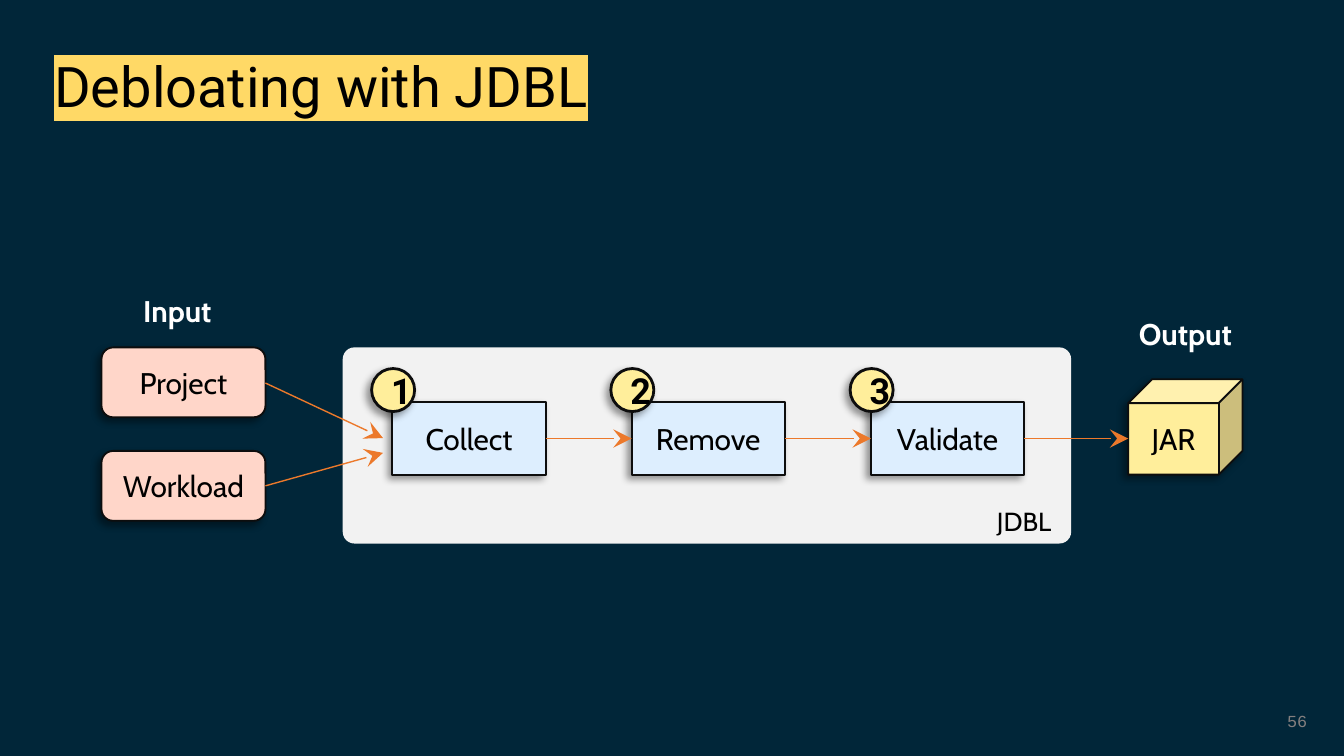
from lxml.etree import SubElement
from pptx import Presentation
from pptx.dml.color import RGBColor
from pptx.enum.shapes import MSO_CONNECTOR, MSO_SHAPE
from pptx.enum.text import MSO_ANCHOR, PP_ALIGN
from pptx.oxml import parse_xml
from pptx.oxml.ns import nsdecls, qn
from pptx.util import Inches, Pt

NAVY = RGBColor(0x01, 0x26, 0x39)
BLACK = RGBColor(0x00, 0x00, 0x00)
WHITE = RGBColor(0xFF, 0xFF, 0xFF)
INK = RGBColor(0x0D, 0x0D, 0x0D)
PALE = RGBColor(0xF2, 0xF2, 0xF2)
PINK = RGBColor(0xFF, 0xD6, 0xC9)
BLUE = RGBColor(0xDD, 0xEE, 0xFE)
CREAM = RGBColor(0xFF, 0xEE, 0x9B)
GOLD = RGBColor(0xFF, 0xD9, 0x66)
RUST = RGBColor(0xEC, 0x79, 0x2B)
GRAY = RGBColor(0x84, 0x7F, 0x7F)

deck = Presentation()
deck.slide_width = Inches(10)
deck.slide_height = deck.slide_width * 9 // 16
col = deck.slide_width / 100
row = deck.slide_height / 56.25
slide = deck.slides.add_slide(deck.slide_layouts[6])
slide.background.fill.solid()
slide.background.fill.fore_color.rgb = NAVY
shapes = slide.shapes

SHADE = (
    f'<a:outerShdw {nsdecls("a")} blurRad="{Pt(4)}" dist="{Pt(3)}" dir="8100000" '
    'algn="bl" rotWithShape="0"><a:srgbClr val="000000"><a:alpha val="40000"/>'
    '</a:srgbClr></a:outerShdw>'
)
PLAIN = {"name": "Cabin", "size": Pt(16), "bold": False}
HEAD = {**PLAIN, "bold": True}
SMALL = {**PLAIN, "size": Pt(14)}
BADGE = {"name": "Roboto", "size": Pt(19.2), "bold": True}
TITLE = {"name": "Roboto", "size": Pt(30), "bold": False}
PAGE = {"name": "Courier New", "size": Pt(9), "bold": False}


def write(shape, text, style, color=BLACK, align=PP_ALIGN.CENTER, anchor=MSO_ANCHOR.MIDDLE):
    frame = shape.text_frame
    frame.word_wrap = True
    frame.vertical_anchor = anchor
    para = frame.paragraphs[0]
    para.alignment = align
    run = para.add_run()
    run.text = text
    run.font.color.rgb = color
    for key, value in style.items():
        setattr(run.font, key, value)
    return para, run


def place(kind, x, y, wide, high, fill, text, style=PLAIN, edge=1):
    shape = shapes.add_shape(kind, int(x * col), int(y * row), int(wide * col), int(high * row))
    shape.shadow.inherit = False
    shape.fill.solid()
    shape.fill.fore_color.rgb = fill
    if edge:
        shape.line.color.rgb = INK
        shape.line.width = Pt(edge)
        shape._element.spPr.find(qn("a:effectLst")).append(parse_xml(SHADE))
    else:
        shape.line.fill.background()
    if text:
        write(shape, text, style)
    return shape


panel = place(MSO_SHAPE.ROUNDED_RECTANGLE, 25.5, 25.85, 54.2, 14.6, PALE, None, edge=0)
panel.adjustments[0] = 0.06

for spot, text in enumerate(["Project", "Workload"]):
    place(MSO_SHAPE.ROUNDED_RECTANGLE, 7.55, 25.85 + 7.7 * spot, 12.2, 5.2, PINK, text)

steps = ["Collect", "Remove", "Validate"]
stops = [29.2 + 17.8 * spot for spot in range(3)]
for spot, (x, text) in enumerate(zip(stops, steps), 1):
    step = place(MSO_SHAPE.ROUNDED_RECTANGLE, x, 29.92, 11.4, 5.4, BLUE, text)
    step.adjustments[0] = 0
    place(MSO_SHAPE.OVAL, x - 1.55, 27.42, 3.2, 3.2, CREAM, str(spot), BADGE, 1.5)

place(MSO_SHAPE.CUBE, 83.95, 28.22, 8.5, 7.1, CREAM, "JAR")

links = [(19.75, 28.5, 28.5, 32.6), (19.75, 36.15, 28.5, 33.7)]
links += [(x + 11.4, 32.63, end, 32.63) for x, end in zip(stops, stops[1:] + [83.95])]
for x, y, right, base in links:
    link = shapes.add_connector(
        MSO_CONNECTOR.STRAIGHT, int(x * col), int(y * row), int(right * col), int(base * row)
    )
    link.line.color.rgb = RUST
    link.line.width = Pt(0.75)
    SubElement(link.line._get_or_add_ln(), qn("a:tailEnd"), type="stealth", w="lg", len="lg")
    SubElement(link._element.spPr, qn("a:effectLst"))

MID, LEFT, RIGHT = PP_ALIGN.CENTER, PP_ALIGN.LEFT, PP_ALIGN.RIGHT
TOP, HALF = MSO_ANCHOR.TOP, MSO_ANCHOR.MIDDLE
labels = [
    (7.5, 21.3, 11.4, 3.7, "Input", HEAD, WHITE, MID, TOP),
    (81.8, 23, 12.8, 3.7, "Output", HEAD, WHITE, MID, TOP),
    (69.8, 37.1, 12.8, 3.4, "JDBL", SMALL, BLACK, MID, TOP),
    (75.75, 52.15, 22.5, 3, "56", PAGE, GRAY, RIGHT, HALF),
    (3.05, 3.9, 73.1, 5.4, "Debloating with JDBL", TITLE, BLACK, LEFT, TOP),
]
for x, y, wide, high, *words in labels:
    box = shapes.add_textbox(int(x * col), int(y * row), int(wide * col), int(high * row))
    para, run = write(box, *words)

para.line_spacing = 0.9
mark = parse_xml(f'<a:highlight {nsdecls("a")}><a:srgbClr val="{GOLD}"/></a:highlight>')
run.font._element.find(qn("a:solidFill")).addnext(mark)

deck.save("out.pptx")
